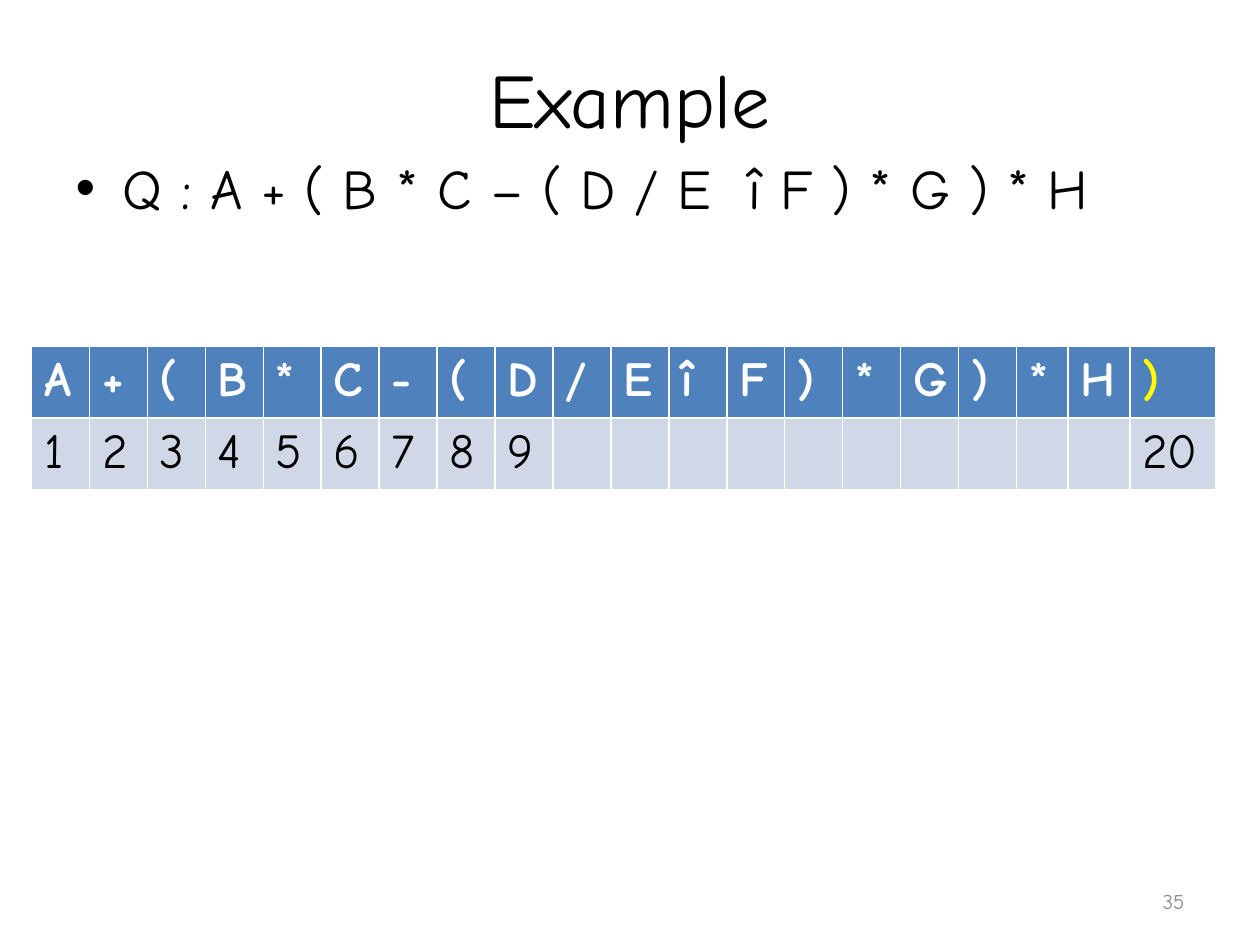
import pptx
import pptx.util
import pptx.dml.color
import pptx.enum.text

Inches, Pt = pptx.util.Inches, pptx.util.Pt
RGBColor = pptx.dml.color.RGBColor
PP_ALIGN = pptx.enum.text.PP_ALIGN
MSO_ANCHOR = pptx.enum.text.MSO_ANCHOR

# Content
TITLE = "Example"
QUESTION = "Q : A + ( B * C – ( D / E  î F ) * G ) * H"
SYMBOLS = list("A+(B*C-(D/EîF)*G)*H)")
POSITIONS = [str(n) for n in range(1, 10)] + [""] * 10 + ["20"]
PAGE = "35"

# Style
FONT = "Comic Neue"
BLACK = RGBColor(0x00, 0x00, 0x00)
WHITE = RGBColor(0xFF, 0xFF, 0xFF)
YELLOW = RGBColor(0xFF, 0xFF, 0x00)
GREY = RGBColor(0x8C, 0x8C, 0x8C)
HEADER_FILL = RGBColor(0x4F, 0x81, 0xBD)
BODY_FILL = RGBColor(0xD0, 0xD8, 0xE8)

COLUMN_WIDTHS = [0.46] * 17 + [0.41, 0.49, 0.68]
ROW_HEIGHT = 0.54


def write(frame, text, size, color, bold=False, align=None):
    paragraph = frame.paragraphs[0]
    paragraph.alignment = align
    run = paragraph.add_run()
    run.text = text
    run.font.name = FONT
    run.font.size = Pt(size)
    run.font.bold = bold
    run.font.color.rgb = color


def place(part, left, top, width, height):
    part.left, part.top = Inches(left), Inches(top)
    part.width, part.height = Inches(width), Inches(height)


deck = pptx.Presentation()
deck.slide_width, deck.slide_height = Inches(10), Inches(7.5)
slide = deck.slides.add_slide(deck.slide_layouts[1])

# Title and question
title = slide.shapes.title
place(title, 0.5, 0.3, 9, 0.95)
title.text_frame.vertical_anchor = MSO_ANCHOR.MIDDLE
write(title.text_frame, TITLE, 44, BLACK, align=PP_ALIGN.CENTER)

question = slide.placeholders[1]
place(question, 0.5, 1.17, 9, 5.53)
write(question.text_frame, QUESTION, 32, BLACK)

# Page number
page = slide.shapes.add_textbox(Inches(7.17), Inches(6.95), Inches(2.33), Inches(0.4))
page.text_frame.word_wrap = True
page.text_frame.vertical_anchor = MSO_ANCHOR.MIDDLE
write(page.text_frame, PAGE, 12, GREY, align=PP_ALIGN.RIGHT)

# Expression table: symbols above their positions
expression = slide.shapes.add_table(
    2, len(SYMBOLS), Inches(0.25), Inches(2.75),
    Inches(sum(COLUMN_WIDTHS)), Inches(2 * ROW_HEIGHT)).table
for column, width in zip(expression.columns, COLUMN_WIDTHS):
    column.width = Inches(width)

rows = [(SYMBOLS, HEADER_FILL, WHITE, True), (POSITIONS, BODY_FILL, BLACK, False)]
last = len(SYMBOLS) - 1
for r, (values, fill, color, bold) in enumerate(rows):
    for c, value in enumerate(values):
        cell = expression.cell(r, c)
        cell.fill.solid()
        cell.fill.fore_color.rgb = fill
        if value:
            # The added closing bracket stands out
            ink = YELLOW if (r, c) == (0, last) else color
            write(cell.text_frame, value, 28, ink, bold)

deck.save("out.pptx")
